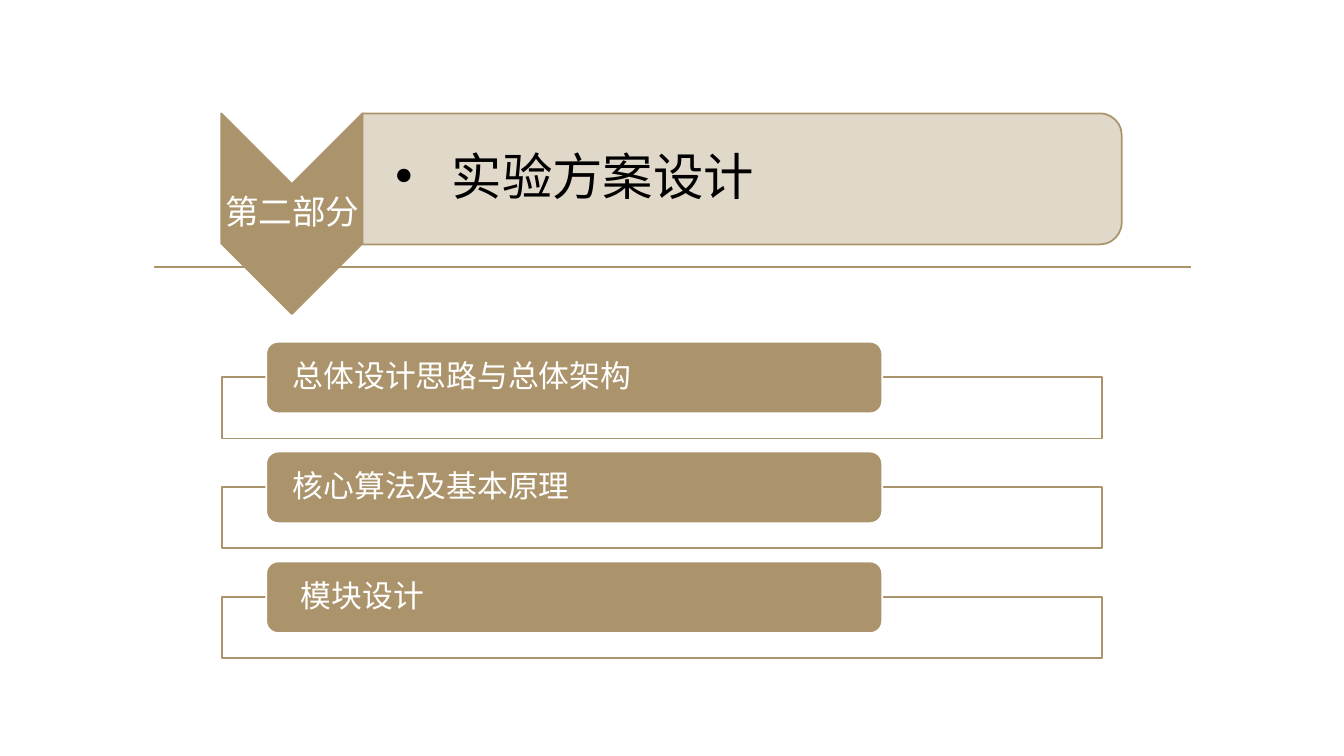
from lxml import etree
from pptx import Presentation
from pptx import util as u
from pptx.dml.color import RGBColor
from pptx.enum import shapes, text
from pptx.oxml import ns

SECTION = "第二部分"
TITLE = "实验方案设计"
TOPICS = [("总体设计思路与总体架构", 0.23), ("核心算法及基本原理", 0.23), ("模块设计", 0.31)]

GOLD = RGBColor(0xAB, 0x94, 0x6B)
SAND = RGBColor(0xDD, 0xD4, 0xC4)
WHITE = RGBColor(0xFF, 0xFF, 0xFF)
BLACK = RGBColor(0, 0, 0)

ROW_TOP, ROW_PITCH = 3.74, 1.09
TAB_RISE = 0.35
BULLET_INDENT = 0.57
KIND = shapes.MSO_SHAPE
ALIGN = text.PP_ALIGN


def add_panel(slide, kind, box, fill, line, rotation=0, opacity=100):
    panel = slide.shapes.add_shape(kind, *map(u.Inches, box))
    panel.shadow.inherit = False
    panel.rotation = rotation
    panel.fill.solid()
    panel.fill.fore_color.rgb = fill
    panel.line.color.rgb = line
    panel.line.width = u.Pt(1.25)
    if opacity < 100:
        colour = panel._element.spPr.find(ns.qn("a:solidFill"))[0]
        etree.SubElement(colour, ns.qn("a:alpha"), val=str(opacity * 1000))
    return panel


def write(holder, words, size, colour, align, insets):
    frame = holder.text_frame
    frame.text = words
    left, top, right, bottom = map(u.Inches, insets)
    layout = {
        "word_wrap": True, "auto_size": text.MSO_AUTO_SIZE.NONE,
        "vertical_anchor": text.MSO_ANCHOR.MIDDLE,
        "margin_left": left, "margin_top": top,
        "margin_right": right, "margin_bottom": bottom,
    }
    for key, value in layout.items():
        setattr(frame, key, value)
    paragraph = frame.paragraphs[0]
    paragraph.alignment = align
    paragraph.line_spacing = 0.9
    font = paragraph.runs[0].font
    for key, value in {"name": "Times New Roman", "size": u.Pt(size)}.items():
        setattr(font, key, value)
    font.color.rgb = colour
    return paragraph


def add_bullet(paragraph):
    props = paragraph._p.get_or_add_pPr()
    indent = u.Inches(BULLET_INDENT)
    props.set("marL", str(indent))
    props.set("indent", str(-indent))
    etree.SubElement(props, ns.qn("a:buSzPct"), val="111000")
    etree.SubElement(props, ns.qn("a:buFont"), typeface="Times New Roman")
    etree.SubElement(props, ns.qn("a:buChar"), char="•")


def add_header(slide):
    rule = slide.shapes.add_connector(
        shapes.MSO_CONNECTOR.STRAIGHT, *map(u.Inches, (1.53, 2.65, 11.81, 2.65)))
    rule.line.color.rgb = GOLD
    rule.line.width = u.Pt(1.25)
    etree.SubElement(rule._element.spPr, ns.qn("a:effectLst"))

    add_panel(slide, KIND.CHEVRON, (1.9, 1.42, 1.99, 1.4), GOLD, GOLD, 90)
    section = slide.shapes.add_textbox(*map(u.Inches, (2.2, 1.82, 1.4, 0.6)))
    write(section, SECTION, 24, WHITE, ALIGN.CENTER, [0.02] * 4)

    add_panel(slide, KIND.ROUND_2_SAME_RECTANGLE, (6.71, -1.99, 1.3, 7.53), SAND, GOLD, 90, 90)
    title = slide.shapes.title
    title.left, title.top, title.width, title.height = map(u.Inches, (3.6, 1.19, 7.46, 1.17))
    add_bullet(write(title, TITLE, 36, BLACK, ALIGN.LEFT, (0.31, 0.03, 0.03, 0.03)))
    slide.shapes._spTree.append(title._element)


def add_topics(slide):
    for row, (topic, inset) in enumerate(TOPICS):
        top = ROW_TOP + row * ROW_PITCH
        add_panel(slide, KIND.RECTANGLE, (2.2, top, 8.73, 0.61), WHITE, GOLD, opacity=90)
        tab = add_panel(slide, KIND.ROUNDED_RECTANGLE, (2.64, top - TAB_RISE, 6.11, 0.71), GOLD, WHITE)
        write(tab, topic, 22, WHITE, ALIGN.LEFT, (inset, 0, 0.23, 0))


def main():
    deck = Presentation()
    deck.slide_width, deck.slide_height = u.Inches(13.33), u.Inches(7.5)
    slide = deck.slides.add_slide(deck.slide_layouts[5])
    add_header(slide)
    add_topics(slide)
    deck.save("out.pptx")


if __name__ == "__main__":
    main()
